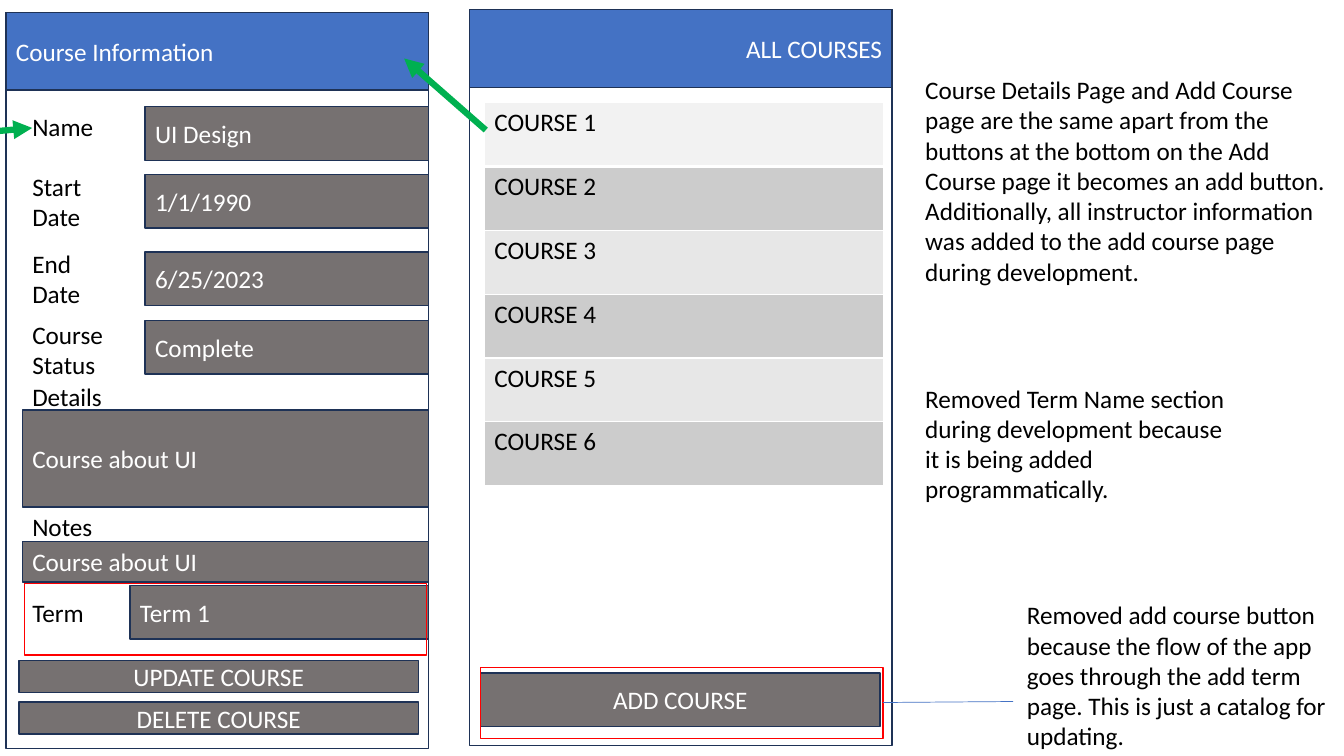
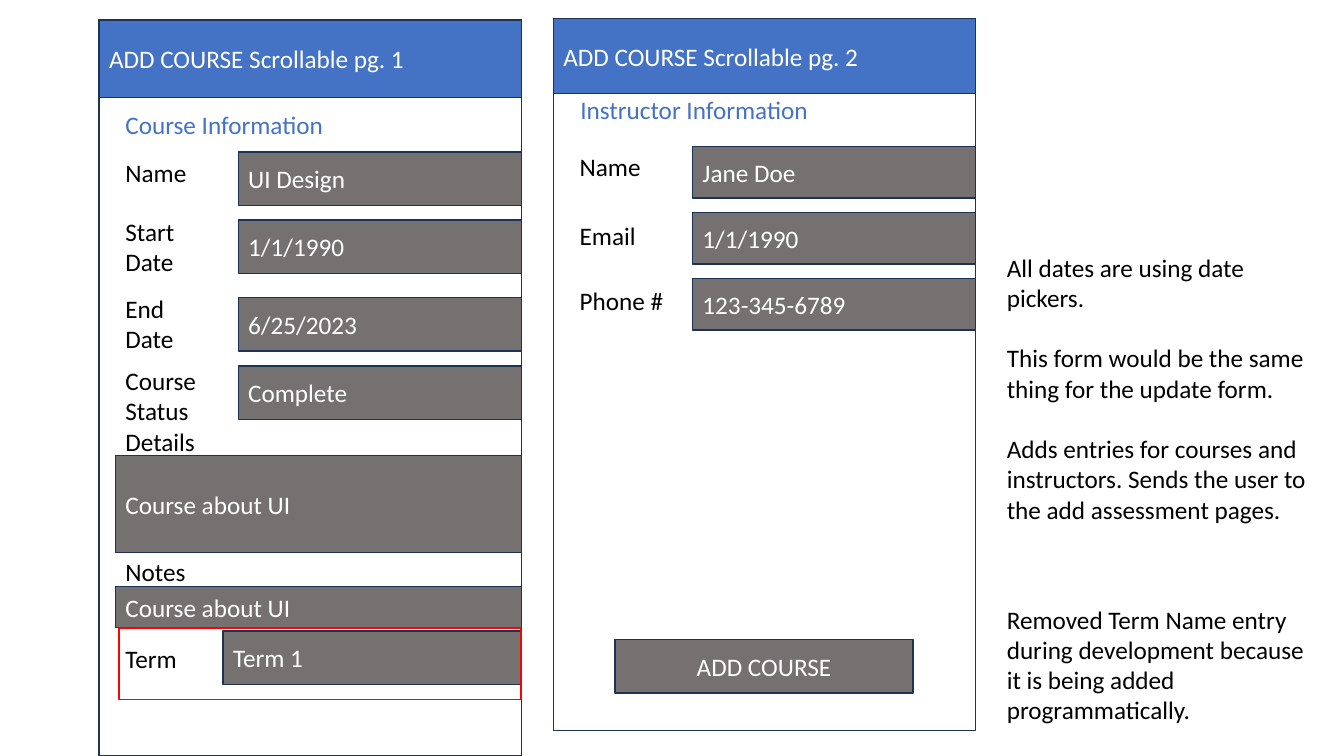
import lxml.etree
import pptx
import pptx.dml.color
import pptx.enum.shapes
import pptx.enum.text
import pptx.oxml.ns
import pptx.util

Pt = pptx.util.Pt
RGBColor = pptx.dml.color.RGBColor
ALIGN = pptx.enum.text.PP_ALIGN
ANCHOR = pptx.enum.text.MSO_ANCHOR
AUTO_SIZE = pptx.enum.text.MSO_AUTO_SIZE
RECTANGLE = pptx.enum.shapes.MSO_SHAPE.RECTANGLE
STRAIGHT = pptx.enum.shapes.MSO_CONNECTOR.STRAIGHT
qn = pptx.oxml.ns.qn

WHITE = RGBColor(0xFF, 0xFF, 0xFF)
BLACK = RGBColor(0x00, 0x00, 0x00)
BLUE = RGBColor(0x44, 0x72, 0xC4)
NAVY = RGBColor(0x1E, 0x32, 0x56)
GRAY = RGBColor(0x76, 0x71, 0x71)
RED = RGBColor(0xFF, 0x00, 0x00)
GREEN = RGBColor(0x00, 0xB0, 0x50)
ROW_FIRST = RGBColor(0xF2, 0xF2, 0xF2)
ROW_DARK = RGBColor(0xCC, 0xCC, 0xCC)
ROW_LIGHT = RGBColor(0xE7, 0xE7, 0xE7)

FONT = {"name": "Calibri", "size": Pt(18)}
PHONE_WIDTH = 301.7
LABEL_OFFSET = 11.7
LABEL_WIDTH = 77
FIELD_OFFSET = 99.4
FIELD_HEIGHT = 38.2


def apply_format(target, values):
    for name, value in values.items():
        setattr(target, name, value)


def write_paragraph(paragraph, text, color, align=ALIGN.LEFT):
    paragraph.alignment = align
    run = paragraph.add_run()
    run.text = text
    apply_format(run.font, FONT)
    run.font.color.rgb = color


def add_box(shapes, left, top, width, height, text="", fill=None, line=NAVY, align=ALIGN.LEFT):
    shape = shapes.add_shape(RECTANGLE, Pt(left), Pt(top), Pt(width), Pt(height))
    shape.shadow.inherit = False
    shape.line.color.rgb = line
    shape.line.width = Pt(1)
    if fill is None:
        shape.fill.background()
    else:
        shape.fill.solid()
        shape.fill.fore_color.rgb = fill
    if text:
        apply_format(shape.text_frame, {"word_wrap": True, "vertical_anchor": ANCHOR.MIDDLE})
        write_paragraph(shape.text_frame.paragraphs[0], text, WHITE, align)


def add_text(shapes, left, top, width, height, *texts, color=BLACK):
    frame = shapes.add_textbox(Pt(left), Pt(top), Pt(width), Pt(height)).text_frame
    apply_format(frame, {"word_wrap": True, "auto_size": AUTO_SIZE.SHAPE_TO_FIT_TEXT})
    for index, text in enumerate(texts):
        paragraph = frame.add_paragraph() if index else frame.paragraphs[0]
        if index:
            paragraph.space_before = Pt(21.6)
        write_paragraph(paragraph, text, color)


def add_line(shapes, start, end, color, width, arrow=False):
    points = [Pt(value) for value in (*start, *end)]
    connector = shapes.add_connector(STRAIGHT, *points)
    connector.line.color.rgb = color
    connector.line.width = Pt(width)
    properties = connector._element.spPr
    if arrow:
        line = properties.find(qn("a:ln"))
        lxml.etree.SubElement(line, qn("a:tailEnd"), type="triangle")
    lxml.etree.SubElement(properties, qn("a:effectLst"))


def add_phone(shapes, left, top, height, header_height, title, align=ALIGN.LEFT):
    add_box(shapes, left, top, PHONE_WIDTH, height)
    add_box(shapes, left, top, PHONE_WIDTH, header_height, title, BLUE, align=align)


def add_field(shapes, left, top, text, offset=FIELD_OFFSET, height=FIELD_HEIGHT):
    add_box(shapes, left + offset, top, PHONE_WIDTH - offset, height, text, GRAY)


def add_label(shapes, left, top, text):
    height = 51 if text in ("Start Date", "End Date", "Course Status") else 29
    add_text(shapes, left + LABEL_OFFSET, top, LABEL_WIDTH, height, text)


def add_button(shapes, left, top, width, height, text):
    add_box(shapes, left, top, width, height, text, GRAY, align=ALIGN.CENTER)


def add_course_form(shapes, left, top):
    labels = (
        ("Name", 0), ("Start Date", 42.4), ("End Date", 97.4), ("Course Status", 148.4),
        ("Details", 192.2), ("Notes", 285.2), ("Term", 347),
    )
    fields = (("UI Design", 0), ("1/1/1990", 48.4), ("6/25/2023", 103.8), ("Complete", 152.8))
    for text, offset in labels:
        add_label(shapes, left, top + offset, text)
    for text, offset in fields:
        add_field(shapes, left, top + offset, text)
    add_field(shapes, left, top + 216.7, "Course about UI", LABEL_OFFSET, 69.2)
    add_field(shapes, left, top + 310.4, "Course about UI", LABEL_OFFSET, 29)
    add_field(shapes, left, top + 342, "Term 1", 88.6)


def set_borders(cell, widths):
    properties = cell._tc.get_or_add_tcPr()
    for side, width in widths.items():
        line = lxml.etree.SubElement(properties, qn("a:ln" + side), w=str(Pt(width)))
        fill = lxml.etree.SubElement(line, qn("a:solidFill"))
        lxml.etree.SubElement(fill, qn("a:srgbClr"), val=str(WHITE))


def add_course_table(shapes, left, top, width, row_height, count):
    frame = shapes.add_table(count, 1, Pt(left), Pt(top), Pt(width), Pt(row_height * count))
    table = frame.table
    apply_format(table, {"first_row": False, "horz_banding": False})
    for index in range(count):
        table.rows[index].height = Pt(row_height)
        cell = table.cell(index, 0)
        top_width = 3 if index == 1 else 1
        bottom_width = 3 if index == 0 else 1
        set_borders(cell, {"L": 1, "R": 1, "T": top_width, "B": bottom_width})
        cell.fill.solid()
        shade = ROW_DARK if index % 2 else ROW_LIGHT
        cell.fill.fore_color.rgb = shade if index else ROW_FIRST
        write_paragraph(cell.text_frame.paragraphs[0], f"COURSE {index + 1}", BLACK)


def build_course_list(slide):
    shapes = slide.shapes
    details = shapes.add_group_shape().shapes
    add_phone(details, 4.3, 8.9, 525.6, 55.4, "Course Information")
    add_course_form(details, 4.3, 76.3)
    for text, top in (("UPDATE COURSE", 471.6), ("DELETE COURSE", 501.4)):
        add_button(details, 13.7, top, 285.1, 23, text)

    add_phone(shapes, 335.5, 7, 525.6, 55.4, "ALL COURSES", ALIGN.RIGHT)
    add_course_table(shapes, 345.9, 73.4, 285.1, 45.6, 6)
    add_button(shapes, 343.4, 480.8, 285.1, FIELD_HEIGHT, "ADD COURSE")
    add_line(shapes, (347, 92.9), (288.7, 41.8), GREEN, 4.5, arrow=True)
    add_line(shapes, (-1.4, 93.6), (23, 91.4), GREEN, 4.5, arrow=True)
    add_text(
        shapes, 653.8, 49.7, 301.7, 160,
        "Course Details Page and Add Course page are the same apart from the buttons at the "
        "bottom on the Add Course page it becomes an add button. Additionally, all instructor "
        "information was added to the add course page during development.",
    )
    add_box(shapes, 343.4, 476.6, 287.3, 51.1, line=RED)
    add_line(shapes, (630.7, 501.8), (723.6, 501.1), BLUE, 0.5)
    add_text(
        shapes, 726.5, 424.8, 230.4, 116.6,
        "Removed add course button because the flow of the app goes through the add term page. "
        "This is just a catalog for updating.",
    )
    add_box(shapes, 17.3, 416.9, 287.3, 51.1, line=RED)
    add_text(
        shapes, 653.8, 270, 239.8, 94.3,
        "Removed Term Name section during development because it is being added programmatically.",
    )


def build_add_course(slide):
    shapes = slide.shapes
    course = shapes.add_group_shape().shapes
    add_phone(course, 70.8, 14.4, 525.6, 55.4, "ADD COURSE Scrollable pg. 1")
    add_course_form(course, 70.8, 108.7)
    add_text(shapes, 82.5, 74.2, 177.1, 29, "Course Information", color=BLUE)

    instructor = shapes.add_group_shape().shapes
    left = 395.3
    add_phone(instructor, left, 13.4, 508.3, 53.4, "ADD COURSE Scrollable pg. 2")
    rows = (("Name", 104.4, "Jane Doe"), ("Email", 154, "1/1/1990"), ("Phone #", 200, "123-345-6789"))
    for index, (label, label_top, value) in enumerate(rows):
        add_label(instructor, left, label_top, label)
        add_field(instructor, left, 104.6 + 47.2 * index, value, height=36.9)
    add_text(shapes, 407.5, 64.1, 177.1, 29, "Instructor Information", color=BLUE)
    add_button(shapes, 439.2, 456.9, 213.1, FIELD_HEIGHT, "ADD COURSE")

    add_text(
        shapes, 712.1, 176.4, 239.8, 203.8,
        "All dates are using date pickers.",
        "This form would be the same thing for the update form.",
        "Adds entries for courses and instructors. Sends the user to the add assessment pages.",
    )
    add_box(shapes, 85, 448.6, 287.3, 51.1, line=RED)
    add_text(
        shapes, 712.1, 427.9, 239.8, 94.3,
        "Removed Term Name entry during development because it is being added programmatically.",
    )


def main():
    presentation = pptx.Presentation()
    apply_format(presentation, {"slide_width": Pt(960), "slide_height": Pt(540)})
    for build in (build_course_list, build_add_course):
        build(presentation.slides.add_slide(presentation.slide_layouts[6]))
    presentation.save("out.pptx")


main()
